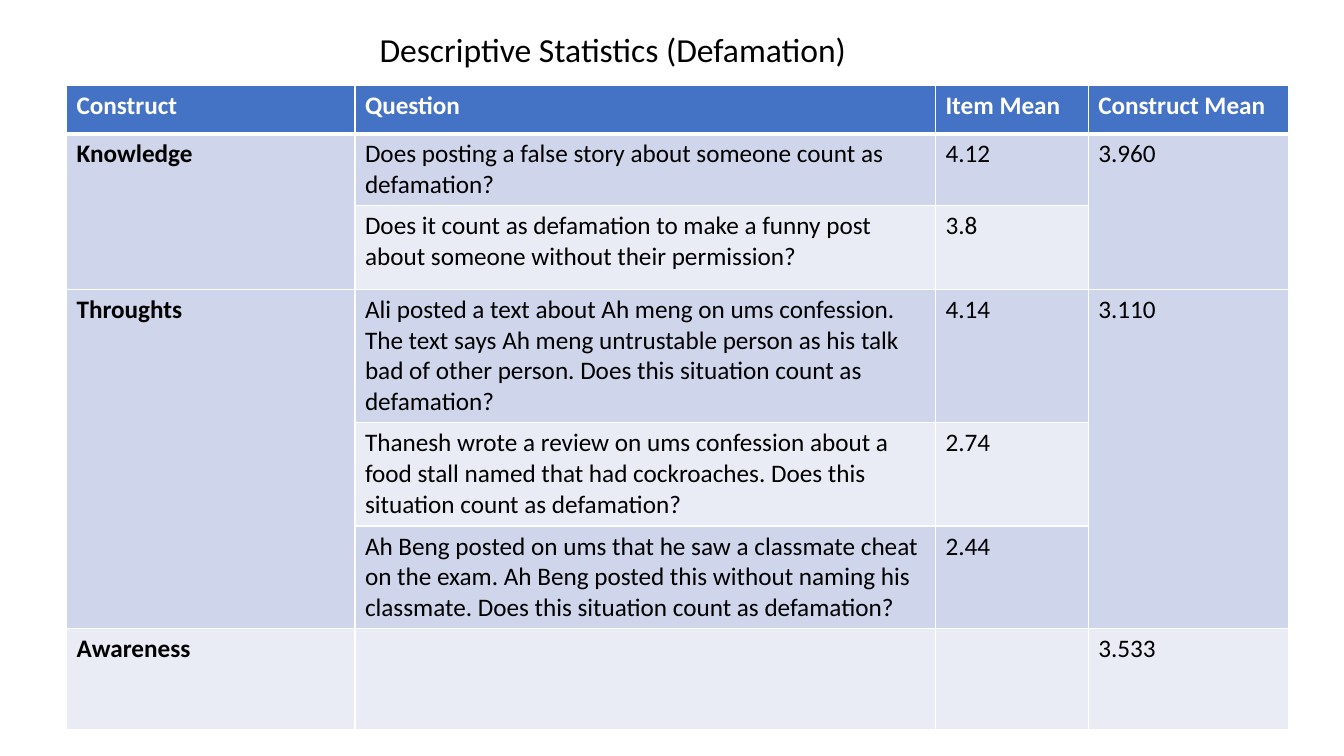
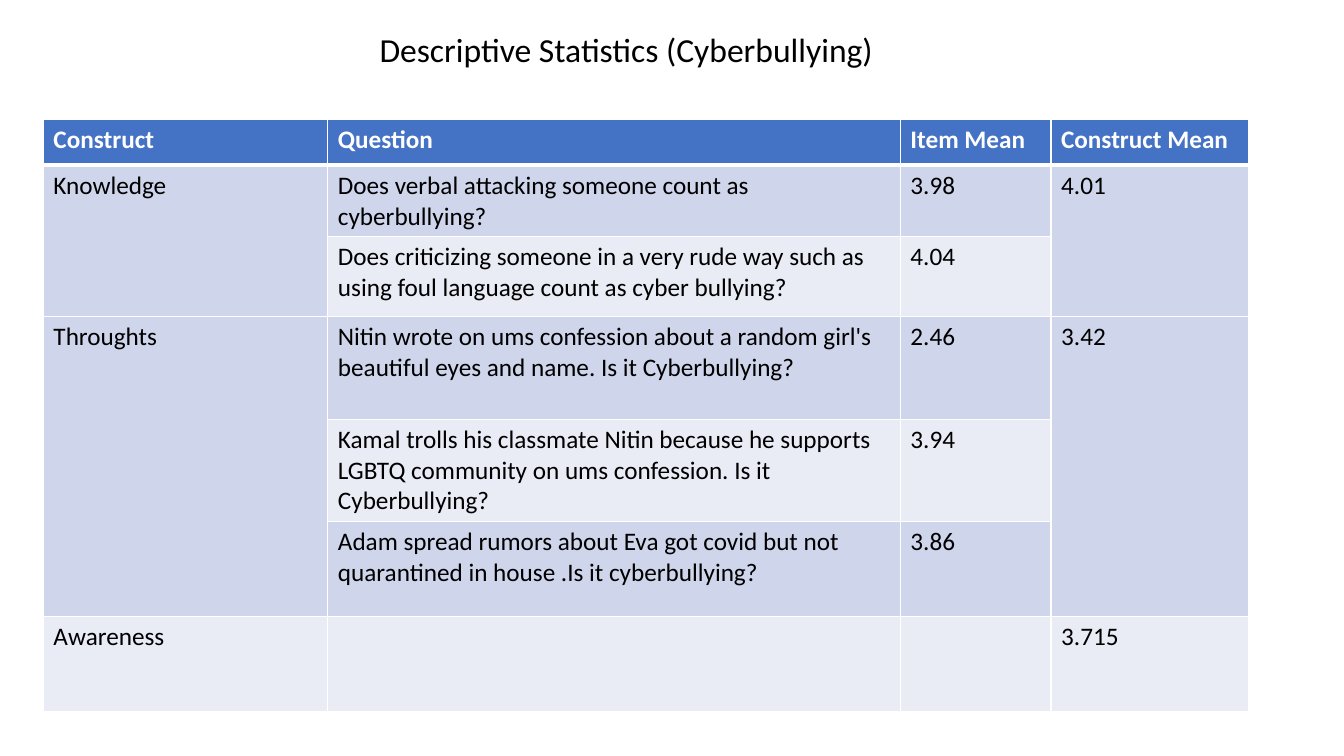
"""Build two slides of survey statistics on defamation and cyberbullying."""
from dataclasses import dataclass

import lxml.etree
import pptx
import pptx.dml.color
import pptx.oxml.ns
import pptx.util

FONT = "Calibri"
BLACK, WHITE = "000000", "FFFFFF"
HEADER_FILL = "4472C4"
BAND_FILLS = ("E9EBF5", "CFD5EA")
HEADINGS = ("Construct", "Question", "Item Mean", "Construct Mean")
COLUMN_SHARES = (0.236, 0.475, 0.125, 0.164)
THIN, THICK = 1, 3


@dataclass(frozen=True)
class Item:
    question: str = ""
    mean: str = ""


@dataclass(frozen=True)
class Construct:
    name: str
    mean: str
    items: tuple[Item, ...]


@dataclass(frozen=True)
class Survey:
    topic: str
    left: float
    top: float
    width: float
    row_heights: tuple[float, ...]
    bold_names: bool
    constructs: tuple[Construct, ...]


SURVEYS = (
    Survey("Defamation", 47.5, 61, 873, (34.5, 51, 60, 95, 74, 73, 72), True, (
        Construct("Knowledge", "3.960", (
            Item("Does posting a false story about someone count as defamation?", "4.12"),
            Item("Does it count as defamation to make a funny post about someone "
                 "without their permission?", "3.8"),
        )),
        Construct("Throughts", "3.110", (
            Item("Ali posted a text about Ah meng on ums confession. The text says "
                 "Ah meng untrustable person as his talk bad of other person. "
                 "Does this situation count as defamation?", "4.14"),
            Item("Thanesh wrote a review on ums confession about a food stall named "
                 "that had cockroaches. Does this situation count as defamation?", "2.74"),
            Item("Ah Beng posted on ums that he saw a classmate cheat on the exam. "
                 "Ah Beng posted this without naming his classmate. "
                 "Does this situation count as defamation?", "2.44"),
        )),
        Construct("Awareness", "3.533", (Item(),)),
    )),
    Survey("Cyberbullying", 31, 85, 861, (33, 51, 57, 73.5, 73, 68, 68), False, (
        Construct("Knowledge", "4.01", (
            Item("Does verbal attacking someone count as cyberbullying?", "3.98"),
            Item("Does criticizing someone in a very rude way such as using foul "
                 "language count as cyber bullying?", "4.04"),
        )),
        Construct("Throughts", "3.42", (
            Item("Nitin wrote on ums confession about a random girl's beautiful eyes "
                 "and name. Is it Cyberbullying?", "2.46"),
            Item("Kamal trolls his classmate Nitin because he supports LGBTQ community "
                 "on ums confession. Is it Cyberbullying?", "3.94"),
            Item("Adam spread rumors about Eva got covid but not quarantined in house "
                 ".Is it cyberbullying?", "3.86"),
        )),
        Construct("Awareness", "3.715", (Item(),)),
    )),
)


def rgb(color: str) -> pptx.dml.color.RGBColor:
    return pptx.dml.color.RGBColor.from_string(color)


def write(frame, text: str, size: float, color: str, bold: bool = False) -> None:
    paragraph = frame.paragraphs[0]
    paragraph.text = text
    paragraph.font.name = FONT
    paragraph.font.size = pptx.util.Pt(size)
    paragraph.font.bold = bold
    paragraph.font.color.rgb = rgb(color)


def style_cell(cell, row: int) -> None:
    qn = pptx.oxml.ns.qn
    properties = cell._tc.get_or_add_tcPr()
    widths = {"lnL": THIN, "lnR": THIN,
              "lnT": THICK if row == 1 else THIN,
              "lnB": THICK if row == 0 else THIN}
    for side, width in widths.items():
        border = lxml.etree.SubElement(properties, qn(f"a:{side}"), w=str(pptx.util.Pt(width)))
        paint = lxml.etree.SubElement(border, qn("a:solidFill"))
        lxml.etree.SubElement(paint, qn("a:srgbClr"), val=WHITE)
    cell.fill.solid()
    cell.fill.fore_color.rgb = rgb(BAND_FILLS[row % 2] if row else HEADER_FILL)


def add_title(slide, topic: str) -> None:
    title = slide.shapes.add_textbox(*map(pptx.util.Pt, (264, 17, 480, 36)))
    title.text_frame.word_wrap = True
    write(title.text_frame, f"Descriptive Statistics ({topic})", 24, BLACK)


def add_statistics(slide, survey: Survey) -> None:
    heights = survey.row_heights
    bounds = map(pptx.util.Pt, (survey.left, survey.top, survey.width, sum(heights)))
    statistics = slide.shapes.add_table(len(heights), len(HEADINGS), *bounds).table
    for column, share in zip(statistics.columns, COLUMN_SHARES):
        column.width = pptx.util.Pt(survey.width * share)
    for row, height in enumerate(heights):
        statistics.rows[row].height = pptx.util.Pt(height)
        for column in range(len(HEADINGS)):
            style_cell(statistics.cell(row, column), row)
    for column, heading in enumerate(HEADINGS):
        write(statistics.cell(0, column).text_frame, heading, 18, WHITE, True)

    first = 1
    for construct in survey.constructs:
        last = first + len(construct.items) - 1
        for column, text, bold in ((0, construct.name, survey.bold_names),
                                   (3, construct.mean, False)):
            cell = statistics.cell(first, column)
            if last > first:
                cell.merge(statistics.cell(last, column))
            write(cell.text_frame, text, 18, BLACK, bold)
        for row, item in enumerate(construct.items, first):
            write(statistics.cell(row, 1).text_frame, item.question, 18, BLACK)
            write(statistics.cell(row, 2).text_frame, item.mean, 18, BLACK)
        first = last + 1


def main() -> None:
    deck = pptx.Presentation()
    deck.slide_width = pptx.util.Pt(960)
    deck.slide_height = pptx.util.Pt(540)
    for survey in SURVEYS:
        slide = deck.slides.add_slide(deck.slide_layouts[6])
        add_statistics(slide, survey)
        add_title(slide, survey.topic)
    deck.save("out.pptx")


if __name__ == "__main__":
    main()
